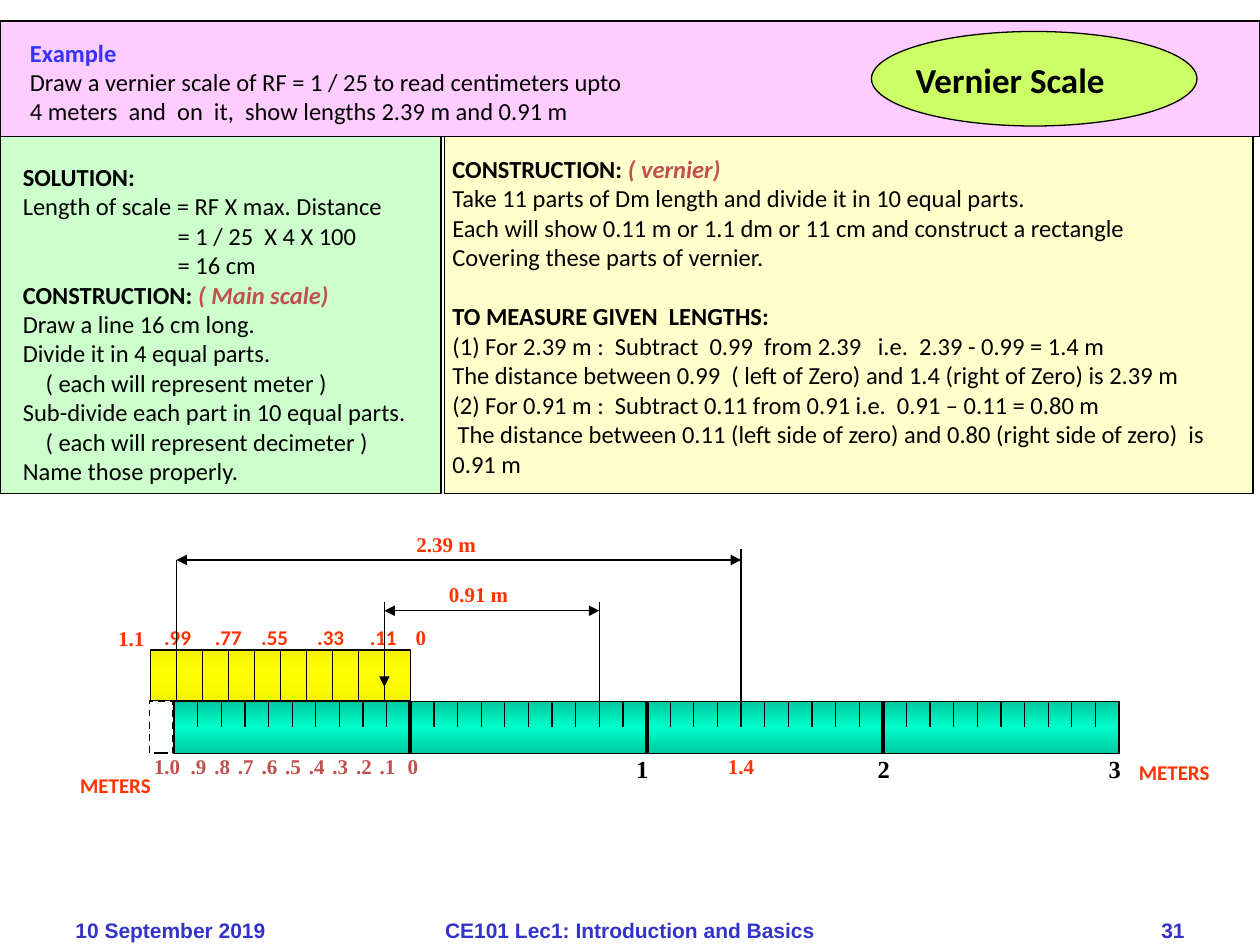
import copy

import pptx
import pptx.dml.color
import pptx.enum.dml
import pptx.enum.shapes
import pptx.enum.text
import pptx.oxml
import pptx.oxml.ns
import pptx.util

Pt = pptx.util.Pt
RGBColor = pptx.dml.color.RGBColor
qn = pptx.oxml.ns.qn
MSO_SHAPE = pptx.enum.shapes.MSO_SHAPE
PP_ALIGN = pptx.enum.text.PP_ALIGN
MSO_ANCHOR = pptx.enum.text.MSO_ANCHOR

BLACK = RGBColor(0, 0, 0)
WHITE = RGBColor(0xFF, 0xFF, 0xFF)
PINK = RGBColor(0xFF, 0xCC, 0xFF)
LIME = RGBColor(0xCC, 0xFF, 0x66)
GREEN = RGBColor(0xCC, 0xFF, 0xCC)
CREAM = RGBColor(0xFF, 0xFF, 0xCC)
TEAL = RGBColor(0, 0xFF, 0xCC)
DARK_TEAL = RGBColor(0, 0xC8, 0xA0)
YELLOW = RGBColor(0xFF, 0xFF, 0)
DARK_YELLOW = RGBColor(0xF4, 0xF4, 0)
BLUE = RGBColor(0x33, 0x33, 0xFF)
FOOTER_BLUE = RGBColor(0x33, 0x33, 0xCC)
BRICK = RGBColor(0xC0, 0x50, 0x4D)
ORANGE = RGBColor(0xFF, 0x33, 0)

PLAIN = (BLACK, False, False)
BOLD = (BLACK, True, False)
ACCENT = (BRICK, True, True)
SERIF = "Times New Roman"

ZERO = 234.5
DECIMETER = 13.5
METER = 10 * DECIMETER
VERNIER_PART = 1.1 * DECIMETER
MAIN_TOP, MAIN_HEIGHT = 401, 29.5
VERNIER_TOP, VERNIER_HEIGHT = 371.5, 29

EXAMPLE = [
    ([("Example", (BLUE, True, False))], 0, 0, 0),
    ([("Draw a vernier scale of RF = 1 / 25 to read centimeters upto", PLAIN)], 0, 0, 0),
    ([("4 meters  and  on  it,  show lengths 2.39 m and 0.91 m", PLAIN)], 0, 0, 0),
]
SOLUTION = [
    ([("SOLUTION:", BOLD)], 0, 0, 0),
    ([("Length of scale = RF X max. Distance", PLAIN)], 0, 0, 0),
    ([("= 1 / 25  X 4 X 100", PLAIN)], 88.5, 0, 0),
    ([("= 16 cm", PLAIN)], 88.5, 0, 0),
    ([("CONSTRUCTION: ", BOLD), ("( Main scale)", ACCENT)], 0, 0, 0),
    ([("Draw a line 16 cm long.", PLAIN)], 0, 0, 0),
    ([("Divide it in 4 equal parts.", PLAIN)], 0, 0, 0),
    ([("( each will represent meter )", PLAIN)], 13, 0, 0),
    ([("Sub-divide each part in 10 equal parts.", PLAIN)], 0, 0, 0),
    ([("( each will represent decimeter )", PLAIN)], 13, 0, 0),
    ([("Name those properly.", PLAIN)], 0, 0, 0),
]
MEASURING = [
    ([("CONSTRUCTION: ", BOLD), ("( vernier)", ACCENT)], 0, 0, 0),
    ([("Take 11 parts of Dm length and divide it in 10 equal parts.", PLAIN)], 0, 0, 0),
    ([("Each will show 0.11 m or 1.1 dm or 11 cm and construct a rectangle", PLAIN)], 0, 0, 0),
    ([("Covering these parts of vernier.", PLAIN)], 0, 0, 0),
    ([("TO MEASURE GIVEN  LENGTHS:", BOLD)], 0, 0, 17),
    ([("(1) For 2.39 m :  Subtract  0.99  from 2.39   i.e.  2.39 - 0.99 = 1.4 m", PLAIN)], 0, 0, 0),
    ([("The distance between 0.99  ( left of Zero) and 1.4 (right of Zero) is 2.39 m", PLAIN)], 0, 0, 0),
    ([("(2) For 0.91 m :  Subtract 0.11 from 0.91 i.e.  0.91 – 0.11 = 0.80 m", PLAIN)], 0, 0, 0),
    ([("The distance between 0.11 (left side of zero) and 0.80 (right side of zero)  is 0.91 m",
       PLAIN)], 0, 3, 0),
]


def place(shape, left, top, width, height):
    shape.left, shape.top, shape.width, shape.height = map(Pt, (left, top, width, height))


def add_run(paragraph, text, style, size, font_name="Calibri"):
    run = paragraph.add_run()
    run.text = text
    run.font.name = font_name
    run.font.size = Pt(size)
    run.font.color.rgb, run.font.bold, run.font.italic = style


def write_paragraphs(frame, paragraphs):
    for index, (runs, margin, first_line, space_before) in enumerate(paragraphs):
        paragraph = frame.add_paragraph() if index else frame.paragraphs[0]
        properties = paragraph._p.get_or_add_pPr()
        properties.set("marL", str(Pt(margin)))
        properties.set("indent", str(Pt(first_line)))
        properties.append(pptx.oxml.parse_xml(f"<a:buNone {pptx.oxml.ns.nsdecls('a')}/>"))
        paragraph.space_before = Pt(space_before)
        for text, style in runs:
            add_run(paragraph, text, style, 14)


def fill_panel(placeholder, box, color, insets, paragraphs):
    place(placeholder, *box)
    placeholder.fill.solid()
    placeholder.fill.fore_color.rgb = color
    placeholder.line.color.rgb = BLACK
    placeholder.line.width = Pt(0.75)
    frame = placeholder.text_frame
    frame.auto_size = pptx.enum.text.MSO_AUTO_SIZE.NONE
    frame.word_wrap = True
    frame.vertical_anchor = MSO_ANCHOR.TOP
    frame.margin_left, frame.margin_top, frame.margin_right = map(Pt, insets)
    frame.margin_bottom = 0
    write_paragraphs(frame, paragraphs)


def add_block(slide, kind, box, color, edge_color=None, line_width=0.75):
    shape = slide.shapes.add_shape(kind, *map(Pt, box))
    shape.shadow.inherit = False
    shape.line.color.rgb = BLACK
    shape.line.width = Pt(line_width)
    if edge_color is None:
        shape.fill.solid()
        shape.fill.fore_color.rgb = color
        return shape
    shape.fill.gradient()
    shape.fill.gradient_angle = 90
    first, last = shape.fill.gradient_stops
    for stop, position, stop_color in ((first, 0, edge_color), (last, 0.5, color)):
        stop.position = position
        stop.color.rgb = stop_color
    stops = shape.element.spPr.find(".//" + qn("a:gsLst"))
    final_stop = copy.deepcopy(stops[0])
    final_stop.set("pos", "100000")
    stops.append(final_stop)
    return shape


def add_line(slide, start, end, width=0.75, arrows=()):
    connector = slide.shapes.add_connector(
        pptx.enum.shapes.MSO_CONNECTOR.STRAIGHT, *map(Pt, (*start, *end)))
    connector.line.color.rgb = BLACK
    connector.line.width = Pt(width)
    properties = connector.element.spPr
    outline = properties.find(qn("a:ln"))
    for arrow in arrows:
        outline.append(outline.makeelement(qn(f"a:{arrow}"), {"type": "triangle"}))
    properties.append(properties.makeelement(qn("a:effectLst"), {}))
    return connector


def join_across(connector, block):
    connector.begin_connect(block, 0)
    connector.end_connect(block, 2)


def add_label(slide, text, center, top, color, font_name=SERIF, size=12):
    width = 16 + len(text) * size * 0.6
    box = slide.shapes.add_textbox(Pt(center - width / 2), Pt(top), Pt(width), Pt(size + 9.6))
    box.text_frame.word_wrap = False
    paragraph = box.text_frame.paragraphs[0]
    paragraph.alignment = PP_ALIGN.CENTER
    add_run(paragraph, text, (color, True, False), size, font_name)


def add_footer(slide, text, left, width, alignment):
    box = slide.shapes.add_textbox(Pt(left), Pt(517), Pt(width), Pt(29))
    box.text_frame.word_wrap = True
    box.text_frame.vertical_anchor = MSO_ANCHOR.MIDDLE
    paragraph = box.text_frame.paragraphs[0]
    paragraph.alignment = alignment
    add_run(paragraph, text, (FOOTER_BLUE, True, False), 12, "Arial")


def add_header(slide):
    add_block(slide, MSO_SHAPE.RECTANGLE, (0, 12, 720, 66), PINK)
    example = slide.shapes.add_textbox(Pt(10), Pt(18), Pt(359), Pt(58))
    example.text_frame.word_wrap = False
    write_paragraphs(example.text_frame, EXAMPLE)
    add_block(slide, MSO_SHAPE.OVAL, (498, 18, 186, 54), LIME)
    title = slide.shapes.title
    place(title, 516, 30, 141, 31)
    title.text_frame.word_wrap = False
    paragraph = title.text_frame.paragraphs[0]
    paragraph.alignment = PP_ALIGN.LEFT
    add_run(paragraph, "Vernier Scale", BOLD, 20)
    title.element.getparent().append(title.element)


def add_scales(slide):
    extension = add_block(slide, MSO_SHAPE.RECTANGLE, (85.5, 400.5, 13.5, 30), WHITE, line_width=1)
    extension.line.dash_style = pptx.enum.dml.MSO_LINE.DASH
    main_scale = add_block(slide, MSO_SHAPE.RECTANGLE,
                           (ZERO - METER, MAIN_TOP, 4 * METER, MAIN_HEIGHT), TEAL, DARK_TEAL)
    vernier = add_block(slide, MSO_SHAPE.RECTANGLE,
                        (ZERO - 10 * VERNIER_PART, VERNIER_TOP, 10 * VERNIER_PART, VERNIER_HEIGHT),
                        YELLOW, DARK_YELLOW)
    for part in range(1, 10):
        x = ZERO - part * VERNIER_PART
        tick = add_line(slide, (x, VERNIER_TOP), (x, VERNIER_TOP + VERNIER_HEIGHT))
        if part == 5:
            join_across(tick, vernier)
    for decimeter in range(-9, 30):
        if decimeter % 10:
            x = ZERO + decimeter * DECIMETER
            add_line(slide, (x, MAIN_TOP), (x, MAIN_TOP + 14.5))
    for meter in range(-1, 4):
        x = ZERO + meter * METER
        mark = add_line(slide, (x, MAIN_TOP), (x, MAIN_TOP + MAIN_HEIGHT),
                        2.25 if meter in (0, 1, 2) else 0.75)
        if meter == 1:
            join_across(mark, main_scale)


def add_scale_labels(slide):
    for tenth in range(1, 10):
        add_label(slide, f".{tenth}", ZERO + 0.5 - tenth * DECIMETER, 427, BRICK)
    for text, center in (("0", 236), ("1.0", 95.5)):
        add_label(slide, text, center, 427, BRICK)
    for text, center in (("1", 367), ("2", 505), ("3", 637)):
        add_label(slide, text, center, 427.5, BLACK, size=14)
    for text, center in ((".99", 101.5), (".77", 130.5), (".55", 157), (".33", 189), (".11", 219)):
        add_label(slide, text, center, 353.5, ORANGE, "Calibri")
    for text, center, top in (("0", 240.5, 353.5), ("1.1", 75, 354), ("1.4", 423.5, 427),
                              ("2.39 m", 255, 300), ("0.91 m", 273.5, 329)):
        add_label(slide, text, center, top, ORANGE)
    for center, top in ((671, 430.5), (66, 438)):
        add_label(slide, "METERS", center, top, ORANGE, "Calibri")


def add_dimensions(slide):
    left_long, right_long = ZERO - 9 * VERNIER_PART, ZERO + 14 * DECIMETER
    left_short, right_short = ZERO - VERNIER_PART, ZERO + 8 * DECIMETER
    for x, top, bottom, arrows in ((right_long, 314, 409.5, ()), (left_long, 320, 380, ()),
                                   (right_short, 344, 406, ()),
                                   (left_short, 344, 392.5, ("tailEnd",))):
        add_line(slide, (x, top), (x, bottom), arrows=arrows)
    for left, right, y in ((left_long, right_long, 320), (left_short, right_short, 349)):
        add_line(slide, (left, y), (right, y), arrows=("headEnd", "tailEnd"))


def main():
    presentation = pptx.Presentation()
    presentation.slide_width, presentation.slide_height = Pt(720), Pt(540)
    slide = presentation.slides.add_slide(presentation.slide_layouts[3])
    fill_panel(slide.placeholders[1], (0, 78, 252, 204), GREEN, (13, 14.5, 5), SOLUTION)
    fill_panel(slide.placeholders[2], (254, 78, 462, 204), CREAM, (4.5, 10, 16), MEASURING)
    add_header(slide)
    add_scales(slide)
    add_scale_labels(slide)
    add_dimensions(slide)
    add_footer(slide, "10 September 2019", 36, 168, PP_ALIGN.LEFT)
    add_footer(slide, "CE101 Lec1: Introduction and Basics", 222, 276, PP_ALIGN.CENTER)
    add_footer(slide, "31", 516, 168, PP_ALIGN.RIGHT)
    presentation.save("out.pptx")


if __name__ == "__main__":
    main()
